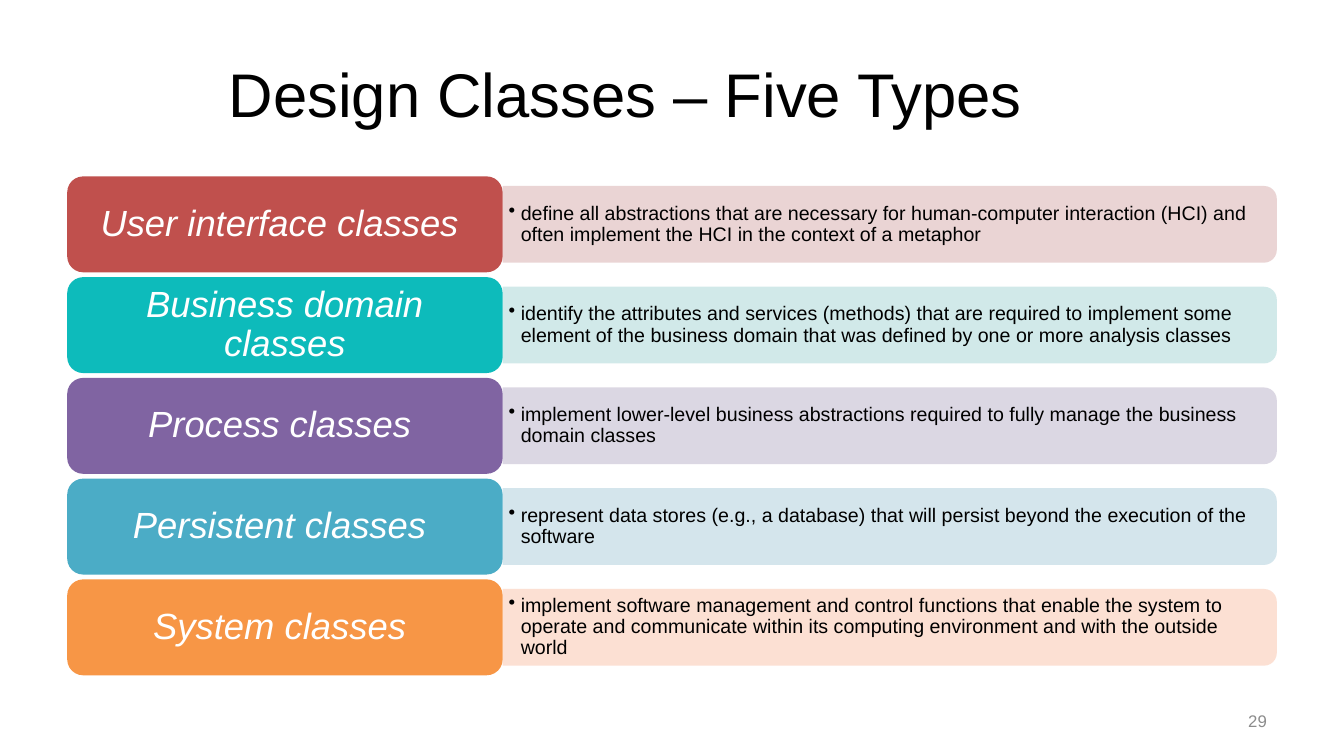
import dataclasses

import lxml.etree
import pptx
import pptx.dml.color
import pptx.enum.shapes
import pptx.enum.text
import pptx.oxml.ns
import pptx.util

ALIGN = pptx.enum.text.PP_ALIGN
SHAPE = pptx.enum.shapes.MSO_SHAPE
SLIDE_WIDTH, SLIDE_HEIGHT = pptx.util.Inches(13.333), pptx.util.Inches(7.5)
COLUMN, ROW = SLIDE_WIDTH / 20, SLIDE_HEIGHT / 30


@dataclasses.dataclass(frozen=True)
class Theme:
    """Font, type sizes and colours of the slide."""
    font: str = "Arial"
    title_size: int = 44
    label_size: int = 26
    body_size: int = 14
    number_size: int = 12
    dark: str = "000000"
    light: str = "FFFFFF"
    muted: str = "8C8C8C"
    accents: tuple = ("C0504D", "0DBBBB", "8064A2", "4BACC6", "F79646")
    tints: tuple = ("E8D0D0", "CCE7E7", "D8D3E0", "D0E3EA", "FCDDCF")
    tint_alpha: int = 90


@dataclasses.dataclass(frozen=True)
class Box:
    """A rectangle in EMU."""
    left: float
    top: float
    width: float
    height: float

    def share(self, x, y, width, height):
        """Return a box given as shares of this one."""
        return Box(self.left + x * self.width, self.top + y * self.height,
                   width * self.width, height * self.height)

    def turned(self):
        """Return the box that covers this one after a quarter turn."""
        shift = (self.width - self.height) / 2
        return Box(self.left + shift, self.top - shift, self.height, self.width)

    def emu(self):
        """Return left, top, width and height as whole numbers."""
        return [round(length) for length in dataclasses.astuple(self)]


THEME = Theme()
CLASS_TYPES = [
    ("User interface classes ",
     "define all abstractions that are necessary for human-computer interaction (HCI) "
     "and often implement the HCI in the context of a metaphor"),
    ("Business domain classes",
     "identify the attributes and services (methods) that are required to implement some "
     "element of the business domain that was defined by one or more analysis classes"),
    ("Process classes ",
     "implement lower-level business abstractions required to fully manage the business "
     "domain classes"),
    ("Persistent classes ",
     "represent data stores (e.g., a database) that will persist beyond the execution of "
     "the software"),
    ("System classes ",
     "implement software management and control functions that enable the system to operate "
     "and communicate within its computing environment and with the outside world"),
]


def grid(column, row, columns, rows):
    """Return a box given in columns and rows of the slide grid."""
    return Box(column * COLUMN, row * ROW, columns * COLUMN, rows * ROW)


def write(shape, text, size, color, align, inset=(0.1, 0.05), italic=False):
    """Set one vertically centred paragraph in a shape and return it."""
    frame = shape.text_frame
    frame.text = text
    frame.word_wrap = True
    frame.vertical_anchor = pptx.enum.text.MSO_ANCHOR.MIDDLE
    frame.margin_left = frame.margin_right = pptx.util.Inches(inset[0])
    frame.margin_top = frame.margin_bottom = pptx.util.Inches(inset[1])
    paragraph = frame.paragraphs[0]
    paragraph.alignment = align
    for run in paragraph.runs:
        run.font.name = THEME.font
        run.font.size = pptx.util.Pt(size)
        run.font.italic = italic
        run.font.color.rgb = pptx.dml.color.RGBColor.from_string(color)
    return paragraph


def add_bullet(paragraph):
    """Give a paragraph a hanging round bullet."""
    properties = paragraph._p.get_or_add_pPr()
    indent = pptx.util.Inches(0.12)
    properties.set("marL", str(indent))
    properties.set("indent", str(-indent))
    bullet = lxml.etree.SubElement(properties, pptx.oxml.ns.qn("a:buChar"))
    bullet.set("char", "•")


def add_panel(slide, kind, box, color):
    """Add a flat shape without outline."""
    panel = slide.shapes.add_shape(kind, *box.emu())
    panel.shadow.inherit = False
    panel.line.fill.background()
    panel.fill.solid()
    panel.fill.fore_color.rgb = pptx.dml.color.RGBColor.from_string(color)
    return panel


def add_caption(slide, box, text, size, color, align):
    """Add a line of free text."""
    caption = slide.shapes.add_textbox(*box.emu())
    write(caption, text, size, color, align)


def add_description(slide, box, text, tint):
    """Add a tinted bar, rounded on its right side, with a bulleted text."""
    bar = add_panel(slide, SHAPE.ROUND_2_SAME_RECTANGLE, box.turned(), tint)
    bar.rotation = 90
    color = bar._element.spPr.find(".//" + pptx.oxml.ns.qn("a:srgbClr"))
    alpha = lxml.etree.SubElement(color, pptx.oxml.ns.qn("a:alpha"))
    alpha.set("val", str(THEME.tint_alpha * 1000))
    description = slide.shapes.add_textbox(*box.share(0, 0.05, 0.99, 0.9).emu())
    paragraph = write(description, text, THEME.body_size, THEME.dark, ALIGN.LEFT,
                      inset=(0.06, 0.03))
    add_bullet(paragraph)
    paragraph.line_spacing = 0.9


def add_class_type(slide, box, name, text, accent, tint):
    """Add one row: a description bar and the label in front of it."""
    add_description(slide, box.share(0.36, 0.1, 0.64, 0.8), text, tint)
    label = add_panel(slide, SHAPE.ROUNDED_RECTANGLE, box.share(0, 0, 0.36, 1), accent)
    paragraph = write(label, name, THEME.label_size, THEME.light, ALIGN.CENTER,
                      inset=(0.11, 0.05), italic=True)
    paragraph.line_spacing = 0.9


def add_class_list(slide, box):
    """Stack the class types with gaps of a twentieth of a row."""
    gap = 0.05
    count = len(CLASS_TYPES)
    height = 1 / (count + (count - 1) * gap)
    rows = zip(CLASS_TYPES, THEME.accents, THEME.tints)
    for index, ((name, text), accent, tint) in enumerate(rows):
        row = box.share(0, index * height * (1 + gap), 1, height)
        add_class_type(slide, row, name, text, accent, tint)


def main():
    """Build the slide and save it."""
    deck = pptx.Presentation()
    deck.slide_width, deck.slide_height = SLIDE_WIDTH, SLIDE_HEIGHT
    slide = deck.slides.add_slide(deck.slide_layouts[6])
    add_caption(slide, grid(1, 1.2, 16.62, 5), "Design Classes – Five Types",
                THEME.title_size, THEME.dark, ALIGN.CENTER)
    add_class_list(slide, grid(1, 7, 18, 19.8))
    add_caption(slide, grid(14.33, 27.8, 4.67, 1.6), "29",
                THEME.number_size, THEME.muted, ALIGN.RIGHT)
    deck.save("out.pptx")


if __name__ == "__main__":
    main()
